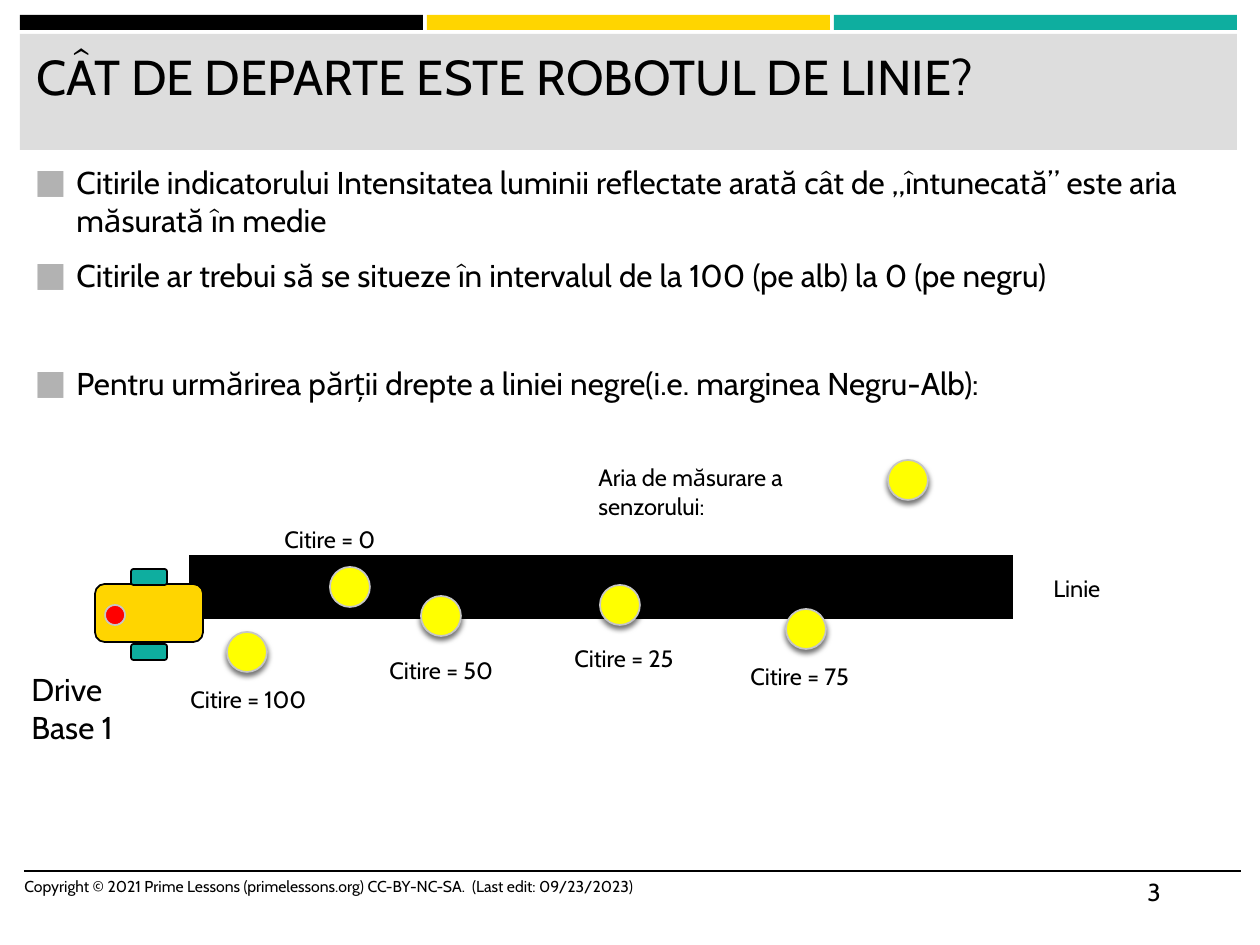
"""Build a slide on how far the robot is from the line."""
from lxml.etree import SubElement
from pptx import Presentation
from pptx.dml.color import RGBColor
from pptx.enum.shapes import MSO_CONNECTOR, MSO_SHAPE as Shape
from pptx.enum.text import MSO_AUTO_SIZE as AutoSize
from pptx.oxml.ns import qn
from pptx.util import Emu, Pt

BLACK = RGBColor(0x00, 0x00, 0x00)
GOLD = RGBColor(0xFF, 0xD5, 0x00)
TEAL = RGBColor(0x0E, 0xAE, 0x9F)
PALE_GRAY = RGBColor(0xDD, 0xDD, 0xDD)
BULLET_GRAY = RGBColor(0xB2, 0xB2, 0xB2)
RIM_GRAY = RGBColor(0xC6, 0xC6, 0xC6)
YELLOW = RGBColor(0xFF, 0xFF, 0x00)
RED = RGBColor(0xFF, 0x00, 0x00)
FONT = "Cabin"
BULLET_FONT = "Arial"
SPOT = 40
INDENT = 42

TITLE = "CÂT DE DEPARTE ESTE ROBOTUL DE LINIE?"
POINTS = [
    ("Citirile indicatorului Intensitatea luminii reflectate arată cât de "
     ",,întunecată” este aria măsurată în medie", 0),
    ("Citirile ar trebui să se situeze în intervalul de la 100 (pe alb) la 0 (pe negru)", 9.6),
    ("Pentru urmărirea părții drepte a liniei negre(i.e. marginea Negru-Alb):", 40.5),
]
COPYRIGHT = "Copyright © 2021 Prime Lessons (primelessons.org) CC-BY-NC-SA.  (Last edit: 09/23/2023)"
PAGE_NUMBER = "3"
STRIPES = [BLACK, GOLD, TEAL]
RULES = [((24, 871), (1241, 871), 1), ((189, 587), (1013, 587), 36.75)]
READINGS = [
    ("Aria de măsurare a senzorului:", (586, 457, 304, 71), (888, 460)),
    ("Citire = 100", (178, 679, 163, 42), (227, 632)),
    ("Citire = 0", (272, 519, 174, 42), (330, 567)),
    ("Citire = 50", (377, 650, 150, 42), (421, 596)),
    ("Citire = 25", (562, 638, 161, 42), (600, 585)),
    ("Citire = 75", (738, 656, 150, 42), (786, 609)),
]
ROBOT_PARTS = [
    (Shape.ROUNDED_RECTANGLE, (120, 559, 58, 108), GOLD, BLACK),
    (Shape.ROUNDED_RECTANGLE, (141, 634, 16, 36), TEAL, BLACK),
    (Shape.ROUNDED_RECTANGLE, (141, 559, 16, 36), TEAL, BLACK),
    (Shape.OVAL, (105, 605, 20, 20), RED, RIM_GRAY),
]


def px(length):
    return Emu(round(length * 914400 / 126))


def add_part(shapes, kind, box, fill, rim=None):
    part = shapes.add_shape(kind, *map(px, box))
    part.shadow.inherit = False
    part.fill.solid()
    part.fill.fore_color.rgb = fill
    if rim is None:
        part.line.fill.background()
    else:
        part.line.color.rgb = rim
        part.line.width = Pt(1)
    return part


def add_rule(shapes, start, end, width):
    rule = shapes.add_connector(MSO_CONNECTOR.STRAIGHT, *map(px, start + end))
    rule.line.color.rgb = BLACK
    rule.line.width = Pt(width)
    SubElement(rule._element.spPr, qn("a:effectLst"))


def style(paragraph, size):
    for run in paragraph.runs:
        run.font.name = FONT
        run.font.size = Pt(size)
        run.font.color.rgb = BLACK


def add_text(shapes, text, box, size, grow=False):
    frame = shapes.add_textbox(*map(px, box)).text_frame
    frame.word_wrap = True
    if grow:
        frame.auto_size = AutoSize.SHAPE_TO_FIT_TEXT
    frame.text = text
    for paragraph in frame.paragraphs:
        style(paragraph, size)
    return frame


def add_bullet(paragraph):
    props = paragraph._p.get_or_add_pPr()
    props.set("marL", str(px(INDENT)))
    props.set("indent", str(-px(INDENT)))
    color = SubElement(props, qn("a:buClr"))
    SubElement(color, qn("a:srgbClr"), val=str(BULLET_GRAY))
    SubElement(props, qn("a:buSzPct"), val="170000")
    SubElement(props, qn("a:buFont"), typeface=BULLET_FONT)
    SubElement(props, qn("a:buChar"), char="■")


def add_spot(shapes, corner):
    spot = add_part(shapes, Shape.OVAL, corner + (SPOT, SPOT), YELLOW, RIM_GRAY)
    effects = spot._element.spPr.find(qn("a:effectLst"))
    shadow = SubElement(effects, qn("a:outerShdw"), blurRad=str(Pt(3)), dist=str(Pt(2)),
                        dir="5400000", rotWithShape="0")
    color = SubElement(shadow, qn("a:srgbClr"), val=str(BLACK))
    SubElement(color, qn("a:alpha"), val="55000")


def main():
    deck = Presentation()
    deck.slide_width, deck.slide_height = px(1260), px(945)
    shapes = deck.slides.add_slide(deck.slide_layouts[6]).shapes

    for column, color in enumerate(STRIPES):
        add_part(shapes, Shape.RECTANGLE, (20 + 407 * column, 15, 403, 15), color)
    add_part(shapes, Shape.RECTANGLE, (20, 34, 1217, 116), PALE_GRAY)
    for rule in RULES:
        add_rule(shapes, *rule)

    add_text(shapes, TITLE, (24, 40, 1206, 103), 28)
    points = add_text(shapes, "\n".join(text for text, _ in POINTS), (22, 157, 1217, 700), 18)
    for paragraph, (_, gap) in zip(points.paragraphs, POINTS):
        add_bullet(paragraph)
        if gap:
            paragraph.space_before = Pt(gap)
    add_text(shapes, COPYRIGHT, (12, 871, 672, 50), 9)
    add_text(shapes, PAGE_NUMBER, (1135, 871, 106, 50), 14)

    for label, box, corner in READINGS:
        add_spot(shapes, corner)
        add_text(shapes, label, box, 13.5, grow=True)
    add_text(shapes, "Linie", (1041, 568, 81, 42), 13.5, grow=True)

    for kind, box, fill, rim in ROBOT_PARTS:
        add_part(shapes, kind, box, fill, rim).rotation = 90
    add_text(shapes, "Drive Base 1", (19, 664, 125, 89), 18, grow=True)
    deck.save("out.pptx")


if __name__ == "__main__":
    main()
